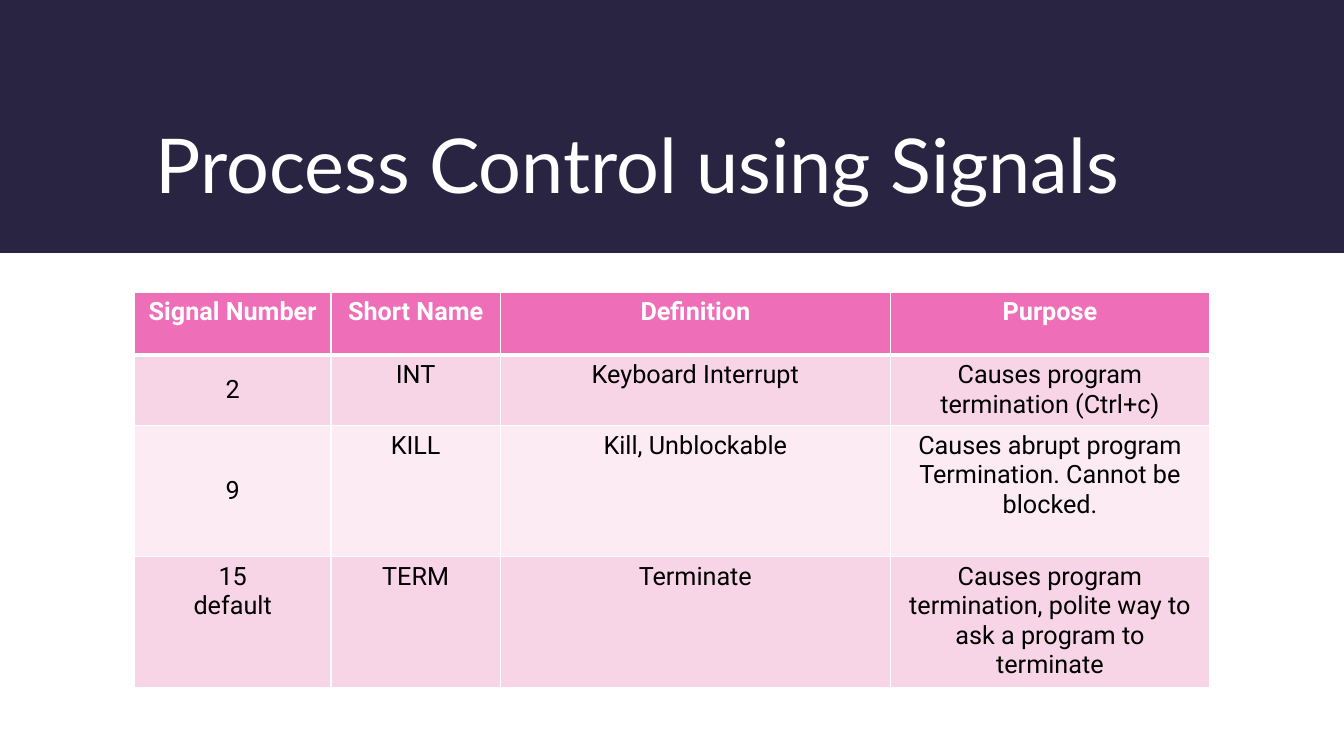
from dataclasses import dataclass

from lxml import etree
from pptx import Presentation
from pptx.dml.color import RGBColor
from pptx.enum.shapes import MSO_SHAPE
from pptx.enum.text import MSO_ANCHOR, PP_ALIGN
from pptx.oxml.ns import qn
from pptx.slide import Slide
from pptx.table import _Cell
from pptx.text.text import TextFrame
from pptx.util import Pt

RECT = MSO_SHAPE.RECTANGLE
TOP, MIDDLE, BOTTOM = MSO_ANCHOR.TOP, MSO_ANCHOR.MIDDLE, MSO_ANCHOR.BOTTOM
LEFT, CENTER = PP_ALIGN.LEFT, PP_ALIGN.CENTER

WHITE = RGBColor(0xFF, 0xFF, 0xFF)
BLACK = RGBColor(0x00, 0x00, 0x00)
NAVY = RGBColor(0x29, 0x24, 0x41)
PINK = RGBColor(0xEE, 0x6E, 0xB8)
ROSE = RGBColor(0xF8, 0xD5, 0xE6)
BLUSH = RGBColor(0xFC, 0xEB, 0xF3)

WIDTH, HEIGHT = 960, 540
COLS = (140.4, 121, 278.6, 228)


@dataclass(frozen=True)
class Row:
    height: float
    cells: tuple[str, str, str, str]
    fill: RGBColor
    color: RGBColor = BLACK
    bold: bool = False
    anchor: MSO_ANCHOR = TOP
    above: float = 1
    below: float = 1


ROWS = (
    Row(44.64, ("Signal Number", "Short Name", "Definition", "Purpose"),
        PINK, color=WHITE, bold=True, below=3),
    Row(44.64, ("2", "INT", "Keyboard Interrupt",
                "Causes program termination (Ctrl+c)"),
        ROSE, anchor=MIDDLE, above=3),
    Row(93.6, ("9", "KILL", "Kill, Unblockable",
               "Causes abrupt program Termination. Cannot be blocked."),
        BLUSH, anchor=MIDDLE),
    Row(93.6, ("15\ndefault", "TERM", "Terminate",
               "Causes program termination, polite way to ask a program to terminate"),
        ROSE),
)


def write(frame: TextFrame, text: str, *, font: str, size: float,
          color: RGBColor, bold: bool = False, align: PP_ALIGN = LEFT) -> None:
    frame.word_wrap = True
    frame.text = text
    for para in frame.paragraphs:
        para.alignment = align
        para.font.name = font
        para.font.size = Pt(size)
        para.font.bold = bold
        para.font.color.rgb = color


def edge(cell: _Cell, above: float, below: float) -> None:
    props = cell._tc.get_or_add_tcPr()
    for side, width in (("L", 1), ("R", 1), ("T", above), ("B", below)):
        line = etree.SubElement(props, qn(f"a:ln{side}"), w=str(Pt(width)))
        fill = etree.SubElement(line, qn("a:solidFill"))
        etree.SubElement(fill, qn("a:srgbClr"), val=str(WHITE))


def band(slide: Slide) -> None:
    shape = slide.shapes.add_shape(RECT, 0, 0, Pt(WIDTH), Pt(180.72))
    shape.shadow.inherit = False
    shape.fill.solid()
    shape.fill.fore_color.rgb = NAVY
    shape.line.fill.background()


def title(slide: Slide) -> None:
    box = slide.shapes.add_textbox(Pt(104), Pt(28.8), Pt(790), Pt(123.84))
    box.text_frame.vertical_anchor = BOTTOM
    write(box.text_frame, "Process Control using Signals",
          font="Lato", size=54, color=WHITE)


def grid(slide: Slide) -> None:
    height = sum(row.height for row in ROWS)
    table = slide.shapes.add_table(len(ROWS), len(COLS), Pt(96), Pt(209),
                                   Pt(sum(COLS)), Pt(height)).table
    for col, width in zip(table.columns, COLS):
        col.width = Pt(width)
    for r, row in enumerate(ROWS):
        table.rows[r].height = Pt(row.height)
        for c, text in enumerate(row.cells):
            cell = table.cell(r, c)
            edge(cell, row.above, row.below)
            cell.fill.solid()
            cell.fill.fore_color.rgb = row.fill
            cell.vertical_anchor = row.anchor if c == 0 else TOP
            write(cell.text_frame, text, font="Roboto", size=18,
                  color=row.color, bold=row.bold, align=CENTER)


def main() -> None:
    deck = Presentation()
    deck.slide_width, deck.slide_height = Pt(WIDTH), Pt(HEIGHT)
    slide = deck.slides.add_slide(deck.slide_layouts[6])
    band(slide)
    title(slide)
    grid(slide)
    deck.save("out.pptx")


if __name__ == "__main__":
    main()
